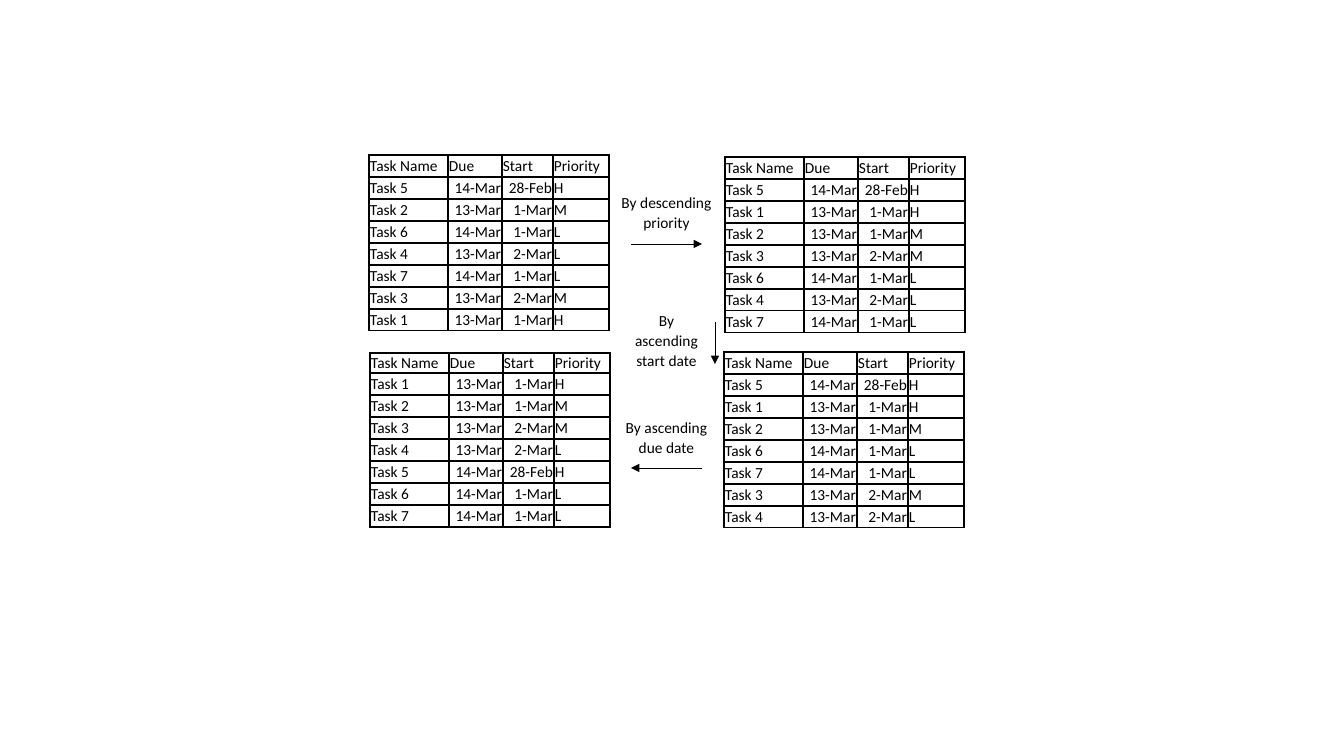
"""Build a slide showing a task list sorted in three successive steps."""
from lxml import etree
from pptx import Presentation
from pptx import util as u
from pptx.dml.color import RGBColor
from pptx.enum import shapes, text
from pptx.oxml.ns import qn

HEADER = ("Task Name", "Due", "Start", "Priority")
TASKS = {
    1: ("13-Mar", "1-Mar", "H"),
    2: ("13-Mar", "1-Mar", "M"),
    3: ("13-Mar", "2-Mar", "M"),
    4: ("13-Mar", "2-Mar", "L"),
    5: ("14-Mar", "28-Feb", "H"),
    6: ("14-Mar", "1-Mar", "L"),
    7: ("14-Mar", "1-Mar", "L"),
}
TABLES = [
    {"at": (369, 155), "header": 22, "order": (5, 2, 6, 4, 7, 3, 1)},
    {"at": (725, 157), "header": 22, "order": (5, 1, 2, 3, 6, 4, 7)},
    {"at": (724, 352), "header": 22, "order": (5, 1, 2, 6, 7, 3, 4)},
    {"at": (370, 353), "header": 20, "order": (1, 2, 3, 4, 5, 6, 7)},
]
LABELS = [
    ("By descending priority", (599, 187, 135, 44)),
    ("By ascending start date", (623, 305, 87, 73)),
    ("By ascending due date", (608, 412, 117, 55)),
]
ARROWS = [(631, 244, 702, 244), (715, 322, 715, 364), (702, 468, 631, 468)]
COLUMNS = (79, 54, 51, 56)
ROW = 22
DATE_COLUMNS = (1, 2)
COLORS = {"ink": "000000"}
FONT, SIZE = "Calibri", 11
SCALE = 914400 / 100.8


def px(n):
    return u.Emu(round(n * SCALE))


def write(p, words, align):
    p.alignment = align
    r = p.add_run()
    r.text = words
    r.font.name = FONT
    r.font.size = u.Pt(SIZE)
    r.font.bold = False
    r.font.color.rgb = RGBColor.from_string(COLORS["ink"])


def add_borders(cell):
    tc_pr = cell._tc.get_or_add_tcPr()
    for i, side in enumerate(("lnL", "lnR", "lnT", "lnB")):
        ln = etree.Element(qn(f"a:{side}"), w=str(u.Pt(1)))
        fill = etree.SubElement(ln, qn("a:solidFill"))
        etree.SubElement(fill, qn("a:srgbClr"), val=COLORS["ink"])
        tc_pr.insert(i, ln)


def add_task_table(s, at, header, order):
    rows = [HEADER] + [(f"Task {n}", *TASKS[n]) for n in order]
    height = header + ROW * len(order)
    frame = s.shapes.add_table(len(rows), len(HEADER), *map(px, (*at, sum(COLUMNS), height)))
    table = frame.table
    table.first_row = table.horz_banding = False
    for column, width in zip(table.columns, COLUMNS):
        column.width = px(width)
    for i, values in enumerate(rows):
        table.rows[i].height = px(ROW if i else header)
        for j, value in enumerate(values):
            cell = table.cell(i, j)
            cell.margin_left = cell.margin_right = cell.margin_top = px(1)
            cell.margin_bottom = 0
            cell.vertical_anchor = text.MSO_ANCHOR.MIDDLE
            cell.fill.background()
            add_borders(cell)
            is_date = i > 0 and j in DATE_COLUMNS
            align = text.PP_ALIGN.RIGHT if is_date else text.PP_ALIGN.LEFT
            write(cell.text_frame.paragraphs[0], value, align)


def add_label(s, words, box):
    tf = s.shapes.add_textbox(*map(px, box)).text_frame
    tf.word_wrap = True
    p = tf.paragraphs[0]
    p.line_spacing = 1.07
    p.space_after = u.Pt(8)
    write(p, words, text.PP_ALIGN.CENTER)


def add_arrow(s, ends):
    sp = s.shapes.add_connector(shapes.MSO_CONNECTOR.STRAIGHT, *map(px, ends))
    sp.line.width = u.Pt(0.5)
    sp.line.color.rgb = RGBColor.from_string(COLORS["ink"])
    etree.SubElement(sp.line._get_or_add_ln(), qn("a:tailEnd"), type="triangle")
    etree.SubElement(sp._element.spPr, qn("a:effectLst"))


def main():
    prs = Presentation()
    prs.slide_width, prs.slide_height = px(1344), px(756)
    s = prs.slides.add_slide(prs.slide_layouts[6])
    for table in TABLES:
        add_task_table(s, **table)
    for words, box in LABELS:
        add_label(s, words, box)
    for ends in ARROWS:
        add_arrow(s, ends)
    prs.save("out.pptx")


if __name__ == "__main__":
    main()
